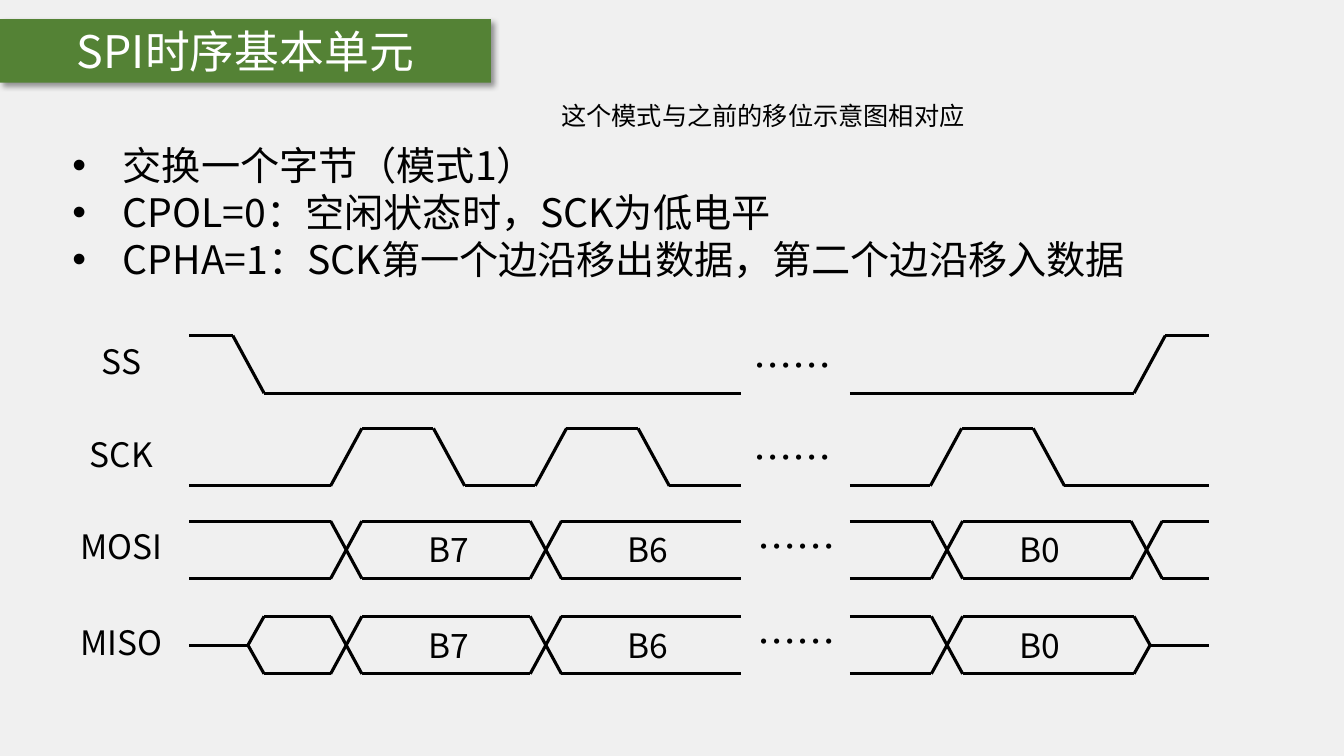
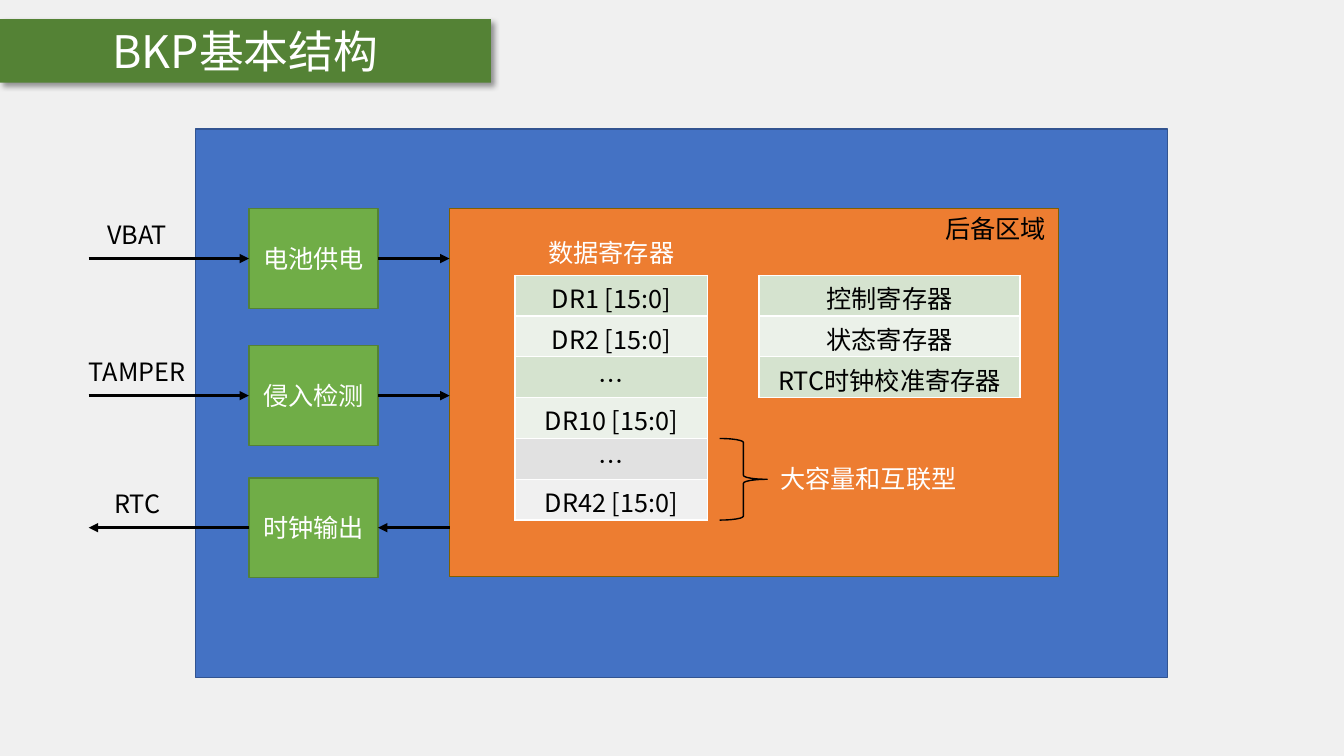
import itertools

import pptx
import pptx.dml.color
import pptx.enum.dml
import pptx.enum.shapes
import pptx.enum.text
import pptx.oxml
import pptx.oxml.ns
import pptx.util

RGBColor = pptx.dml.color.RGBColor
SHAPE = pptx.enum.shapes.MSO_SHAPE
ALIGN = pptx.enum.text.PP_ALIGN
ANCHOR = pptx.enum.text.MSO_ANCHOR

# Shared look
FONT = "Noto Sans CJK SC"
BLACK = RGBColor(0x00, 0x00, 0x00)
WHITE = RGBColor(0xFF, 0xFF, 0xFF)
PAPER = RGBColor(0xF0, 0xF0, 0xF0)
DARK_GREEN = RGBColor(0x54, 0x82, 0x35)
GREEN = RGBColor(0x70, 0xAD, 0x47)
BLUE = RGBColor(0x44, 0x72, 0xC4)
DARK_BLUE = RGBColor(0x32, 0x54, 0x91)
ORANGE = RGBColor(0xED, 0x7D, 0x31)
OLIVE = RGBColor(0x80, 0x60, 0x00)
GREEN_BANDS = (RGBColor(0xD5, 0xE3, 0xCF), RGBColor(0xEB, 0xF1, 0xE9))
GREY_BANDS = (RGBColor(0xE1, 0xE1, 0xE1), PAPER)

# Grid: each column and row is a tenth of an inch
CELL = pptx.util.Inches(0.1)
COLUMNS, ROWS = 133.33, 75

# Timing diagram: columns where traces start, break, resume and end
START, BREAK, RESUME, END = 18.8, 73.5, 84.3, 119.9
SLOPE, SWING, PULSE = 3.1, 5.7, 7.1
HIGH, MIDDLE, LOW = 0, 0.5, 1

# Register tables
REGISTER_ROW = 24.3 / 6


def cells(count):
    return round(count * CELL)


def place(at):
    return [cells(count) for count in at]


def add_xml(parent, tag, content="", **attributes):
    """Append a drawing element with the given attributes to parent."""
    names = "".join(f' {name}="{value}"' for name, value in attributes.items())
    namespace = pptx.oxml.ns.nsdecls("a")
    element = pptx.oxml.parse_xml(f"<a:{tag} {namespace}{names}>{content}</a:{tag}>")
    parent.append(element)
    return element


# Text
def write(para, text, size, color, align=ALIGN.CENTER):
    para.alignment = align
    span = para.add_run()
    span.text = text
    span.font.size = pptx.util.Pt(size)
    span.font.color.rgb = color
    span.font.name = FONT
    add_xml(span.font._element, "ea", typeface=FONT)


def add_label(slide, at, text, size=18, color=BLACK, align=ALIGN.CENTER):
    frame = slide.shapes.add_textbox(*place(at)).text_frame
    frame.word_wrap = True
    frame.vertical_anchor = ANCHOR.MIDDLE
    write(frame.paragraphs[0], text, size, color, align)


def add_bullets(slide, at, lines, size=28):
    frame = slide.shapes.add_textbox(*place(at)).text_frame
    frame.word_wrap = True
    for number, line in enumerate(lines):
        para = frame.add_paragraph() if number else frame.paragraphs[0]
        para.line_spacing = pptx.util.Pt(size * 1.2)
        properties = para._p.get_or_add_pPr()
        properties.set("marL", str(cells(5)))
        properties.set("indent", str(cells(-5)))
        add_xml(properties, "buFont", typeface="Arial")
        add_xml(properties, "buChar", char="•")
        write(para, line, size, BLACK, ALIGN.LEFT)


# Title band
def add_titled_slide(deck, text):
    slide = deck.slides.add_slide(deck.slide_layouts[5])
    title = slide.shapes.title
    title.left, title.top, title.width, title.height = place((0, 1.9, 48.7, 6.3))
    title.fill.solid()
    title.fill.fore_color.rgb = DARK_GREEN
    effects = add_xml(title._element.spPr, "effectLst")
    add_xml(
        effects, "outerShdw",
        '<a:srgbClr val="000000"><a:alpha val="40000"/></a:srgbClr>',
        blurRad=pptx.util.Pt(4), dist=pptx.util.Pt(3), dir=45 * 60000,
        algn="tl", rotWithShape=0,
    )
    frame = title.text_frame
    frame.auto_size = pptx.enum.text.MSO_AUTO_SIZE.NONE
    frame.vertical_anchor = ANCHOR.MIDDLE
    write(frame.paragraphs[0], text, 32, WHITE)
    return slide


# Shapes and lines
def add_box(slide, at, fill, outline, text="", kind=SHAPE.RECTANGLE):
    box = slide.shapes.add_shape(kind, *place(at))
    box.shadow.inherit = False
    if fill is None:
        box.fill.background()
    else:
        box.fill.solid()
        box.fill.fore_color.rgb = fill
    box.line.color.rgb = outline
    box.line.width = pptx.util.Pt(1)
    if text:
        box.text_frame.vertical_anchor = ANCHOR.MIDDLE
        write(box.text_frame.paragraphs[0], text, 18, WHITE)
    return box


def add_line(slide, begin, end, arrow=False):
    line = slide.shapes.add_connector(
        pptx.enum.shapes.MSO_CONNECTOR.STRAIGHT, *place(begin + end)
    )
    line.line.color.rgb = BLACK
    line.line.width = pptx.util.Pt(2.25)
    if arrow:
        add_xml(line.line._get_or_add_ln(), "tailEnd", type="triangle")
    add_xml(line._element.spPr, "effectLst")
    return line


def add_register_table(slide, left, top, width, names, bands):
    at = place((left, top, width, REGISTER_ROW * len(names)))
    frame = slide.shapes.add_table(len(names), 1, *at)
    table = frame.table
    table.first_row = table.horz_banding = False
    for number, (name, band) in enumerate(zip(names, itertools.cycle(bands))):
        cell = table.cell(number, 0)
        cell.margin_top, cell.margin_bottom = cells(0.4), 0
        properties = cell._tc.get_or_add_tcPr()
        for side in ("lnL", "lnR", "lnT", "lnB"):
            border = add_xml(properties, side, w=pptx.util.Pt(1))
            add_xml(border, "solidFill", f'<a:srgbClr val="{WHITE}"/>')
        cell.fill.solid()
        cell.fill.fore_color.rgb = band
        write(cell.text_frame.paragraphs[0], name, 18, BLACK)


# Signals
def add_trace(slide, top, points):
    corners = [(column, top + level * SWING) for column, level in points]
    for begin, end in itertools.pairwise(corners):
        add_line(slide, begin, end)


def clock_points(begin, rises, end):
    points = [(begin, LOW)]
    for rise in rises:
        fall = rise + SLOPE + PULSE
        points += [(rise, LOW), (rise + SLOPE, HIGH), (fall, HIGH), (fall + SLOPE, LOW)]
    return points + [(end, LOW)]


def bus_points(begin, crossings, end, level):
    points = [(begin, level)]
    for crossing in crossings:
        points += [(crossing, level), (crossing + SLOPE, 1 - level)]
        level = 1 - level
    return points + [(end, level)]


def add_signal_labels(slide, top, name, shift=0):
    add_label(slide, (5.6, top, 12.9, 5), name, 24)
    add_label(slide, (72.2 + shift, top - shift, 12.9, 5.7), "……", 28)


def add_bits(slide, top):
    for center, bit in ((44.5, "B7"), (64.3, "B6"), (103.2, "B0")):
        add_label(slide, (center - 4.65, top + 0.3, 9.3, 5), bit, 24)


def build_timing_slide(deck):
    slide = add_titled_slide(deck, "SPI时序基本单元")
    add_bullets(slide, (6.2, 13.5, 120.8, 15.1), (
        "交换一个字节（模式1）",
        "CPOL=0：空闲状态时，SCK为低电平",
        "CPHA=1：SCK第一个边沿移出数据，第二个边沿移入数据",
    ))
    add_label(slide, (54.7, 9.5, 42.7, 4), "这个模式与之前的移位示意图相对应", align=ALIGN.LEFT)

    # Select and clock
    select, clock, output, reply = 33.3, 42.5, 51.7, 61.15
    add_signal_labels(slide, select, "SS")
    add_trace(slide, select, [
        (START, HIGH), (23.1, HIGH), (23.1 + SLOPE, LOW), (BREAK, LOW)])
    add_trace(slide, select, [
        (RESUME, LOW), (112.5, LOW), (112.5 + SLOPE, HIGH), (END, HIGH)])
    add_signal_labels(slide, clock, "SCK")
    add_trace(slide, clock, clock_points(START, (32.8, 53.1), BREAK))
    add_trace(slide, clock, clock_points(RESUME, (92.3,), END))

    # Data lines: two mirrored traces that swap at each crossing
    first_bits, last_bit, last_edge = (32.8, 52.6), 92.4, 112.2
    reply_open, reply_close, tip = 26.2, 112.5, 1.6
    for top, name in ((output, "MOSI"), (reply, "MISO")):
        add_signal_labels(slide, top, name, 0.4)
        add_bits(slide, top)
    for level in (HIGH, LOW):
        add_trace(slide, output, bus_points(START, first_bits, BREAK, level))
        add_trace(slide, output, bus_points(RESUME, (last_bit, last_edge), END, level))
        add_trace(slide, reply, [(reply_open - tip, MIDDLE)]
                  + bus_points(reply_open, first_bits, BREAK, level))
        add_trace(slide, reply, bus_points(RESUME, (last_bit,), reply_close, level)
                  + [(reply_close + tip, MIDDLE)])
    add_trace(slide, reply, [(START, MIDDLE), (reply_open - tip, MIDDLE)])
    add_trace(slide, reply, [(reply_close + tip, MIDDLE), (END, MIDDLE)])


def build_structure_slide(deck):
    slide = add_titled_slide(deck, "BKP基本结构")
    add_box(slide, (19.4, 12.8, 96.4, 54.4), BLUE, DARK_BLUE)
    pin, unit_left, unit_width, unit_height, backup = 8.8, 24.7, 12.8, 9.9, 44.6
    add_box(slide, (backup, 20.7, 60.4, 36.5), ORANGE, OLIVE)
    add_label(slide, (92.8, 20.7, 12.2, 4), "后备区域", align=ALIGN.LEFT)

    # Units with their pins
    units = (
        (20.7, "电池供电", "VBAT", True),
        (34.3, "侵入检测", "TAMPER", True),
        (47.4, "时钟输出", "RTC", False),
    )
    for top, unit, signal, inward in units:
        at = (unit_left, top, unit_width, unit_height)
        box = add_box(slide, at, GREEN, DARK_GREEN, unit)
        middle = top + unit_height / 2
        add_label(slide, (6.4, middle - 4.4, 14.4, 4), signal)
        stops = [(pin, middle), (unit_left, middle),
                 (unit_left + unit_width, middle), (backup, middle)]
        sides = (1, 3)
        if not inward:
            stops.reverse()
            sides = (3, 1)
        add_line(slide, *stops[:2], arrow=True).end_connect(box, sides[0])
        add_line(slide, *stops[2:], arrow=True).begin_connect(box, sides[1])

    # Registers
    left, top, width = 51.1, 27.3, 19.1
    basic = ("DR1 [15:0]", "DR2 [15:0]", "…", "DR10 [15:0]")
    extended = ("…", "DR42 [15:0]")
    extended_top = top + REGISTER_ROW * len(basic)
    add_label(slide, (left, 23, width, 4), "数据寄存器", color=WHITE)
    add_register_table(slide, left, top, width, basic, GREEN_BANDS)
    add_register_table(slide, left, extended_top, width, extended, GREY_BANDS)
    add_register_table(slide, 75.3, top, 25.9,
                       ("控制寄存器", "状态寄存器", "RTC时钟校准寄存器"), GREEN_BANDS)
    brace_at = (71.4, extended_top, 4.7, REGISTER_ROW * len(extended))
    add_box(slide, brace_at, None, BLACK, kind=SHAPE.RIGHT_BRACE)
    add_label(slide, (76.4, 45.5, 21.8, 4), "大容量和互联型", color=WHITE, align=ALIGN.LEFT)


def main():
    deck = pptx.Presentation()
    deck.slide_width, deck.slide_height = place((COLUMNS, ROWS))
    background = deck.slide_master.background.fill
    background.solid()
    background.fore_color.rgb = PAPER
    build_timing_slide(deck)
    build_structure_slide(deck)
    deck.save("out.pptx")


if __name__ == "__main__":
    main()
